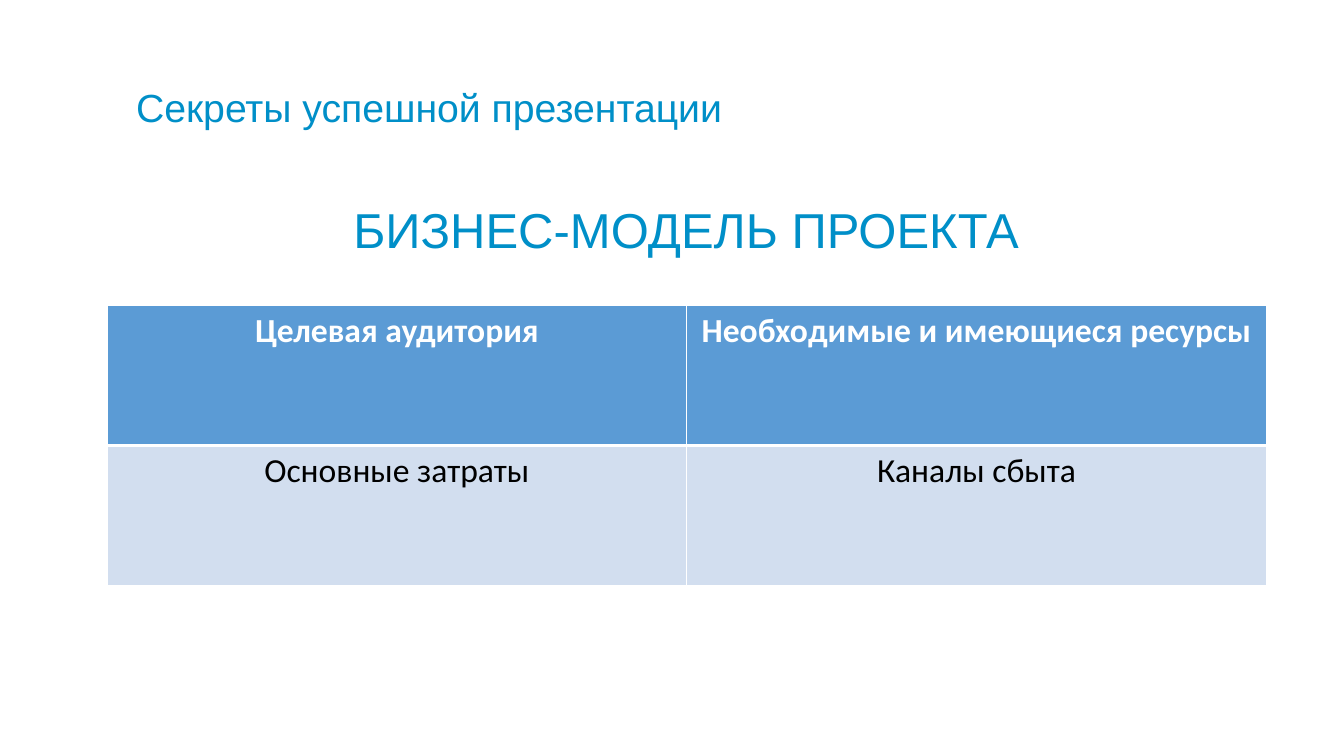
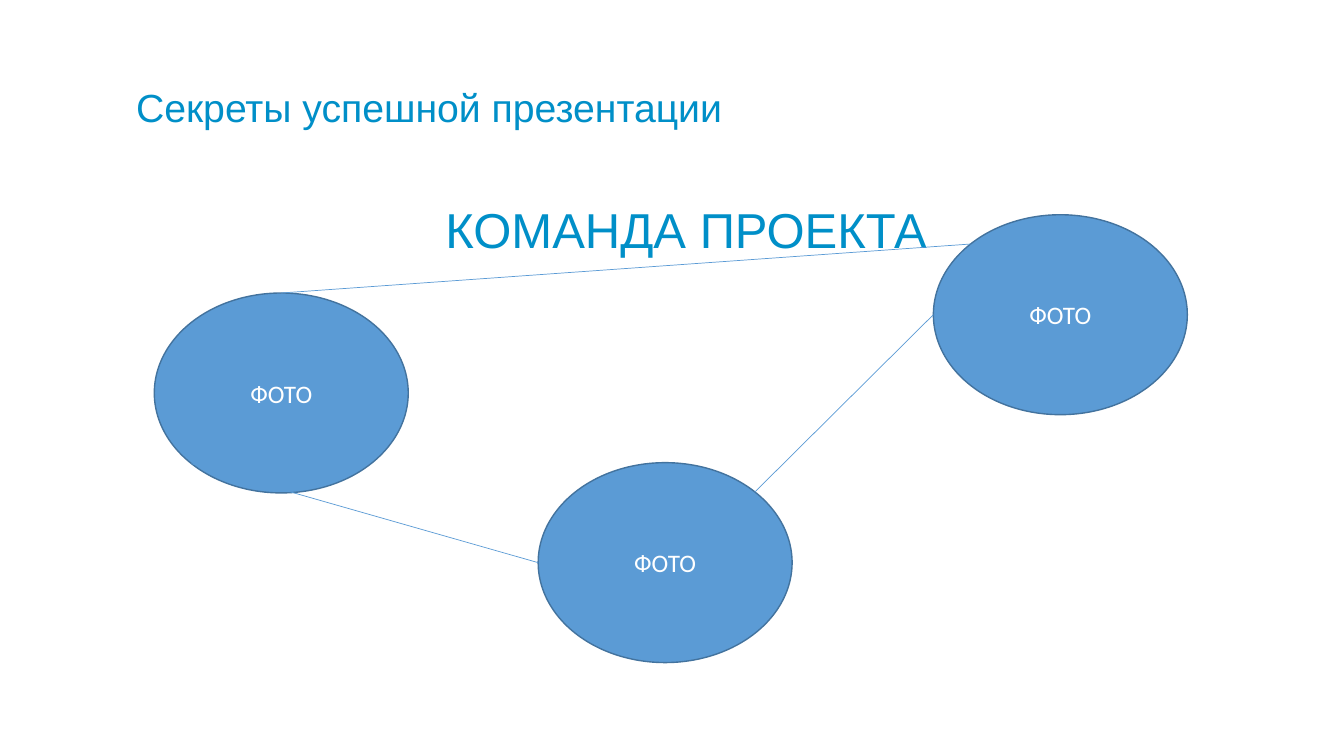
from math import cos, radians, sin

from lxml import etree
from pptx import Presentation
from pptx.dml.color import RGBColor
from pptx.enum.shapes import MSO_CONNECTOR, MSO_SHAPE
from pptx.enum.text import MSO_ANCHOR, MSO_AUTO_SIZE, PP_ALIGN
from pptx.oxml import parse_xml
from pptx.oxml.ns import nsdecls, qn
from pptx.util import Pt

LEFT, CENTER = PP_ALIGN.LEFT, PP_ALIGN.CENTER
MIDDLE, NO_FIT = MSO_ANCHOR.MIDDLE, MSO_AUTO_SIZE.NONE
OVAL, STRAIGHT = MSO_SHAPE.OVAL, MSO_CONNECTOR.STRAIGHT

HEADING, BLUE, OUTLINE = "008FC8", "5B9BD5", "43739E"
PALE, WHITE, BLACK = "D2DEEF", "FFFFFF", "000000"
TITLE = "Секреты успешной презентации"


def color(value):
    return RGBColor.from_string(value)


def write(tf, text, size, font, value, align=CENTER, spacing=None, bold=False):
    tf.word_wrap = True
    p = tf.paragraphs[0]
    p.alignment = align
    p.line_spacing = spacing
    r = p.add_run()
    r.text = text
    r.font.size = Pt(size)
    r.font.name = font
    r.font.bold = bold
    r.font.color.rgb = color(value)


prs = Presentation()
prs.slide_width, prs.slide_height = Pt(960), Pt(540)

# Title and heading on both slides
slides = []
for heading in ("БИЗНЕС-МОДЕЛЬ ПРОЕКТА", "КОМАНДА ПРОЕКТА"):
    s = prs.slides.add_slide(prs.slide_layouts[5])
    title = s.shapes.title
    title.left, title.top, title.width, title.height = Pt(90), Pt(36.7), Pt(801.4), Pt(62.6)
    box = s.shapes.add_textbox(Pt(133.2), Pt(121.7), Pt(714.2), Pt(62.6))
    for sp, text, size, align in ((title, TITLE, 28, LEFT), (box, heading, 35, CENTER)):
        tf = sp.text_frame
        tf.auto_size = NO_FIT
        tf.vertical_anchor = MIDDLE
        write(tf, text, size, "Arial", HEADING, align, 1.5)
    slides.append(s)
model, team = slides

# Business model table
rows = [
    ("Целевая аудитория", "Необходимые и имеющиеся ресурсы"),
    ("Основные затраты", "Каналы сбыта"),
]
row_styles = [
    (BLUE, WHITE, True, {"lnL": 1, "lnR": 1, "lnT": 1, "lnB": 3}),
    (PALE, BLACK, False, {"lnL": 1, "lnR": 1, "lnT": 3, "lnB": 1}),
]
table = model.shapes.add_table(2, 2, Pt(76.5), Pt(218.3), Pt(828), Pt(200)).table
for i, (texts, (fill, ink, bold, borders)) in enumerate(zip(rows, row_styles)):
    for j, text in enumerate(texts):
        cell = table.cell(i, j)
        cell.fill.solid()
        cell.fill.fore_color.rgb = color(fill)
        write(cell.text_frame, text, 24, "Calibri", ink, bold=bold)
        tcPr = cell._tc.get_or_add_tcPr()
        for k, (side, width) in enumerate(borders.items()):
            tcPr.insert(k, parse_xml(
                f'<a:{side} {nsdecls("a")} w="{Pt(width)}"><a:solidFill>'
                f'<a:srgbClr val="{WHITE}"/></a:solidFill></a:{side}>'))

# Team photo ovals
OVAL_W, OVAL_H = 181.4, 142.8
ovals = [(110.2, 209.3), (384.4, 330.5), (666.7, 153.4)]
for x, y in ovals:
    sp = team.shapes.add_shape(OVAL, Pt(x), Pt(y), Pt(OVAL_W), Pt(OVAL_H))
    sp.shadow.inherit = False
    sp.fill.solid()
    sp.fill.fore_color.rgb = color(BLUE)
    sp.line.color.rgb = color(OUTLINE)
    sp.line.width = Pt(1)
    sp.text_frame.vertical_anchor = MIDDLE
    write(sp.text_frame, "ФОТО", 18, "Calibri", WHITE)

# Links between ovals: (oval, angle) at each end, clockwise from the right
links = [((1, 315), (2, 180)), ((2, 225), (0, 270)), ((0, 135), (1, 180))]
for ends in links:
    points = []
    for oval, angle in ends:
        x, y = ovals[oval]
        points.append(Pt(x + OVAL_W / 2 * (1 + cos(radians(angle)))))
        points.append(Pt(y + OVAL_H / 2 * (1 + sin(radians(angle)))))
    line = team.shapes.add_connector(STRAIGHT, *points)
    line.line.color.rgb = color(BLUE)
    line.line.width = Pt(0.5)
    etree.SubElement(line._element.spPr, qn("a:effectLst"))

prs.save("out.pptx")
